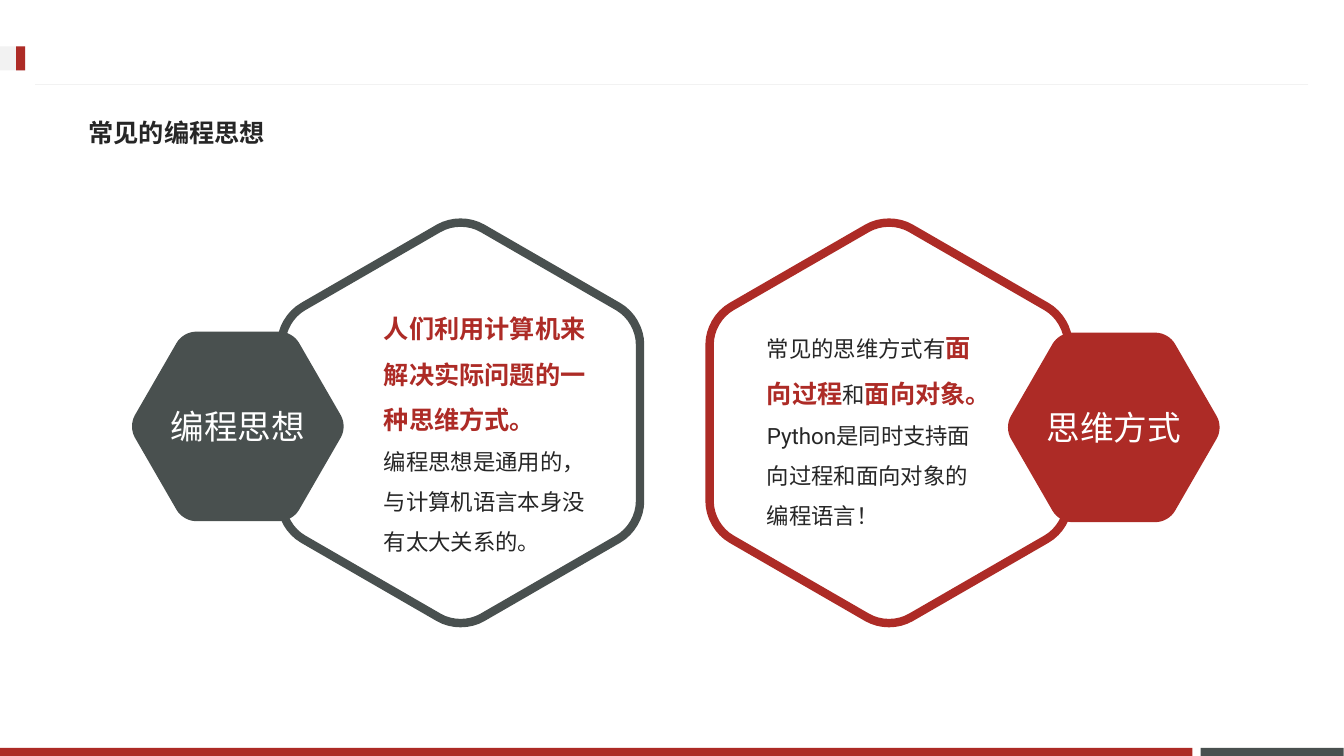
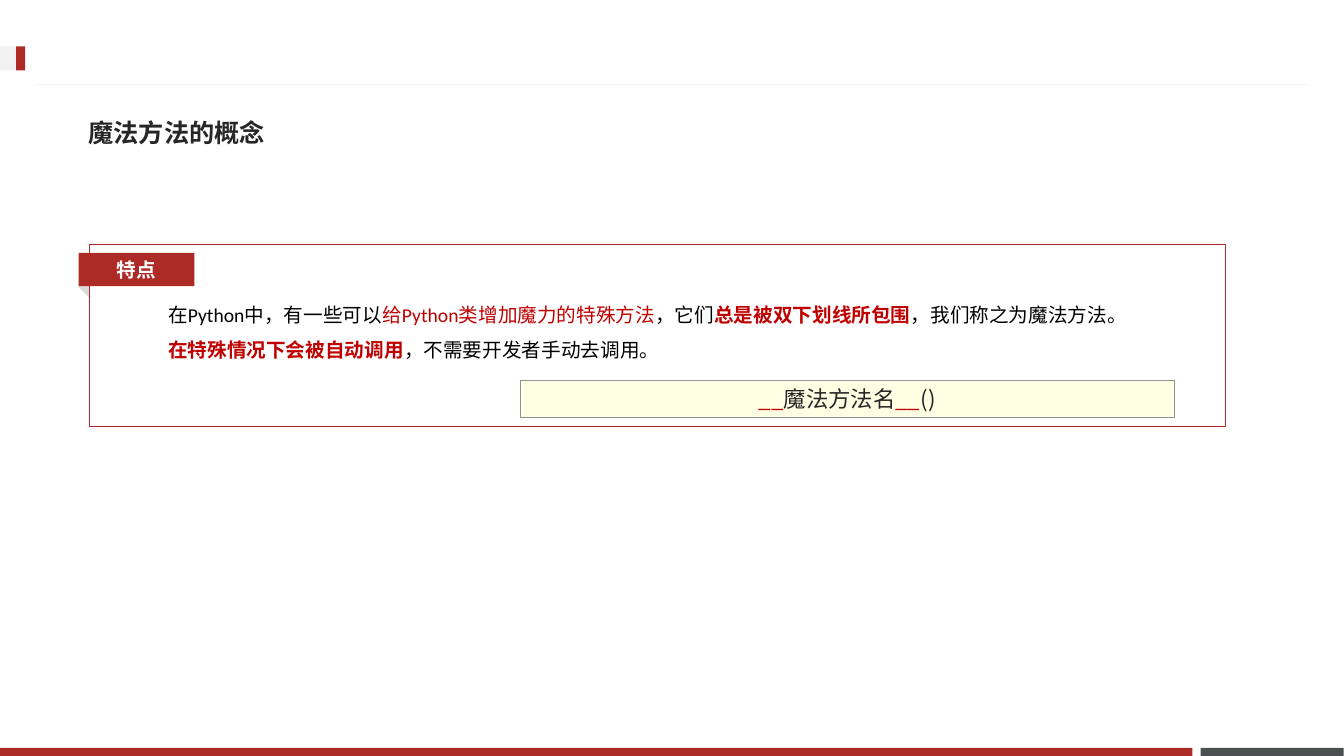
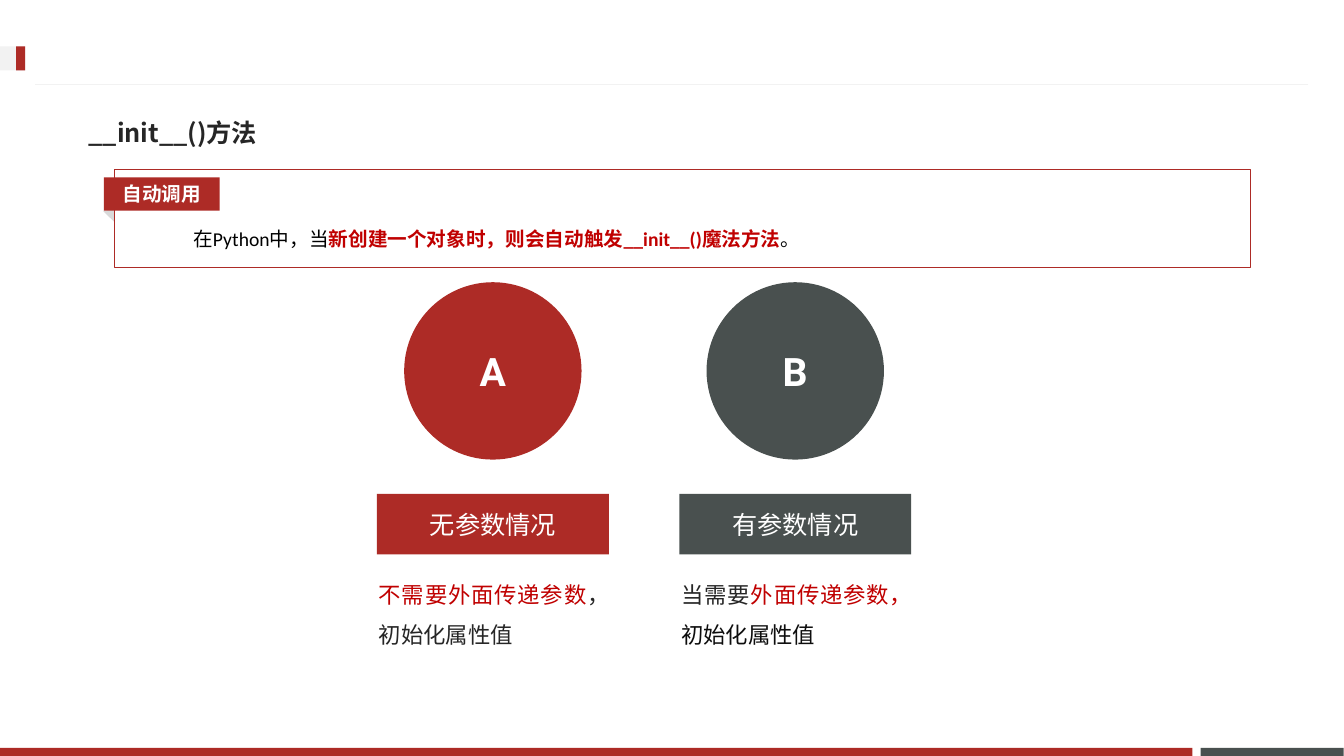
from math import cos, sin, pi, sqrt

from lxml.etree import SubElement
from pptx import Presentation
from pptx.dml.color import RGBColor
from pptx.enum.lang import MSO_LANGUAGE_ID
from pptx.enum.shapes import MSO_CONNECTOR, MSO_SHAPE
from pptx.enum.text import MSO_ANCHOR, PP_ALIGN
from pptx.oxml.ns import qn
from pptx.util import Inches, Pt

RED = RGBColor(0xAD, 0x2B, 0x26)
SLATE = RGBColor(0x49, 0x50, 0x4F)
BRIGHT = RGBColor(0xC0, 0x00, 0x00)
INK = RGBColor(0x26, 0x26, 0x26)
DARK = RGBColor(0x0D, 0x0D, 0x0D)
BLACK = RGBColor(0x00, 0x00, 0x00)
WHITE = RGBColor(0xFF, 0xFF, 0xFF)
PALE = RGBColor(0xF2, 0xF2, 0xF2)
FOLD = RGBColor(0xD9, 0xD9, 0xD9)
CREAM = RGBColor(0xFF, 0xFF, 0xE4)
GREY = RGBColor(0x91, 0x91, 0x91)

CJK, BODY, NOTE, LABEL = "Noto Sans CJK JP", "Roboto", "Calibri", "Lato"

# A run is (text, colour, size, bold); a paragraph is a list of runs.
IDEAS = [
    dict(label="编程思想", colour=SLATE, ring=(2.79, 2.19, 3.56, 4.01),
         badge=(1.3, 3.29, 2.12, 1.88), box=(3.71, 2.9, 2.36, 2.67), paras=[
             [("人们利用计算机来解决实际问题的一种思维方式。", RED, 18, True)],
             [("编程思想是通用的，与计算机语言本身没有太大关系的。", INK, 16, False)]]),
    dict(label="思维方式", colour=RED, ring=(7.04, 2.19, 3.56, 4.01),
         badge=(9.99, 3.3, 2.12, 1.88), box=(7.51, 3.09, 2.36, 2.22), paras=[
             [("常见的思维方式有", INK, 16, False), ("面向过程", RED, 18, True),
              ("和", INK, 16, False), ("面向对象。", RED, 18, True)],
             [("Python是同时支持面向过程和面向对象的编程语言！", INK, 16, False)]]),
]
MAGIC = [
    [("在Python中，有一些可以", BLACK, 14, False),
     ("给Python类增加魔力的特殊方法", BRIGHT, 14, False),
     ("，它们", BLACK, 14, False),
     ("总是被双下划线所包围", BRIGHT, 14, True),
     ("，我们称之为魔法方法。", BLACK, 14, False)],
    [("在特殊情况下会被自动调用", BRIGHT, 14, True),
     ("，不需要开发者手动去调用。", BLACK, 14, False)],
]
SYNTAX = [[("__", BRIGHT, 16, False), ("魔法方法名", INK, 16, False),
           ("__", BRIGHT, 16, False), ("()", INK, 16, False)]]
TRIGGER = [
    [("在Python中，当", BLACK, 14, False),
     ("新创建一个对象时，则会自动触发__init__()魔法方法", BRIGHT, 14, True),
     ("。", BLACK, 14, False)],
]
CASES = [
    ("A", "无参数情况", RED,
     [("不需要外面传递参数", BRIGHT, 16, False), ("，初始化属性值", INK, 16, False)]),
    ("B", "有参数情况", SLATE,
     [("当需要", INK, 16, False), ("外面传递参数，", BRIGHT, 16, False),
      ("初始化属性值", DARK, 16, False)]),
]


def write(shape, paras, font, align=PP_ALIGN.LEFT, spacing=None, anchor=MSO_ANCHOR.MIDDLE):
    frame = shape.text_frame
    frame.word_wrap = True
    frame.vertical_anchor = anchor
    for i, runs in enumerate(paras):
        para = frame.add_paragraph() if i else frame.paragraphs[0]
        para.alignment = align
        para.line_spacing = spacing
        for text, colour, size, bold in runs:
            run = para.add_run()
            run.text = text
            run.font.name = font
            run.font.size = Pt(size)
            run.font.bold = bold
            run.font.color.rgb = colour
            run.font.language_id = MSO_LANGUAGE_ID.SIMPLIFIED_CHINESE
            SubElement(run.font._element, qn("a:ea"), typeface=font)


def paint(shape, fill=None, line=None, width=0.75):
    shape.shadow.inherit = False
    if fill is None:
        shape.fill.background()
    else:
        shape.fill.solid()
        shape.fill.fore_color.rgb = fill
    if line is None:
        shape.line.fill.background()
    else:
        shape.line.color.rgb = line
        shape.line.width = Pt(width)
    return shape


def add_box(slide, box, fill=None, line=None, width=0.75, kind=MSO_SHAPE.RECTANGLE):
    shape = slide.shapes.add_shape(kind, *map(Inches, box))
    return paint(shape, fill, line, width)


def add_text(slide, box, paras, font, **style):
    write(slide.shapes.add_textbox(*map(Inches, box)), paras, font, **style)


def add_hexagon(slide, box, cut, turn):
    """Regular hexagon with corners rounded over a length `cut` of each side."""
    left, top, width, height = box
    radius = min(width, height) / sqrt(3)
    corners = [(left + width / 2 + radius * cos(turn + k * pi / 3),
                top + height / 2 + radius * sin(turn + k * pi / 3)) for k in range(6)]

    def toward(start, end, share):
        return tuple(a + (b - a) * share for a, b in zip(start, end))

    points = []
    for k, corner in enumerate(corners):
        first = toward(corner, corners[k - 1], cut / radius)
        last = toward(corner, corners[(k + 1) % 6], cut / radius)
        points += [first, toward(first, corner, 0.6), toward(last, corner, 0.6), last]
    points = [tuple(map(Inches, point)) for point in points]
    pen = slide.shapes.build_freeform(*points[0])
    pen.add_line_segments(points[1:], close=True)
    shape = pen.convert_to_shape()

    # Each corner's three line segments become one Bezier curve.
    lines = list(shape._element.iter(qn("a:lnTo")))
    for k in range(0, len(lines), 4):
        curve = lines[k]
        for line in lines[k + 1:k + 3]:
            curve.append(line[0])
            line.getparent().remove(line)
        curve.tag = qn("a:cubicBezTo")
    return shape


def add_bands(slide):
    add_box(slide, (11.91, 7.42, 1.42, 0.08), SLATE)
    add_box(slide, (0, 7.42, 11.83, 0.08), RED)
    rule = slide.shapes.add_connector(MSO_CONNECTOR.STRAIGHT, Inches(12.98), Inches(0.84),
                                      Inches(0.35), Inches(0.84))
    rule.line.color.rgb = PALE
    rule.line.width = Pt(0.75)
    SubElement(rule._element.spPr, qn("a:effectLst"))
    add_box(slide, (0, 0.46, 0.25, 0.24), PALE)
    add_box(slide, (0.16, 0.46, 0.09, 0.24), RED)


def share_bands(slide):
    """Draw the bands, then move them to the layout that every slide uses."""
    add_bands(slide)
    for shape in list(slide.shapes):
        slide.slide_layout.shapes._spTree.append(shape._element)


def add_slide(deck, title):
    slide = deck.slides.add_slide(deck.slide_layouts[6])
    if len(deck.slides) == 1:
        share_bands(slide)
    add_text(slide, (0.78, 1.03, 11.7, 0.57), [[(title, INK, 18, True)]], CJK)
    return slide


def add_panel(slide, left, top, height, tag, paras):
    """Outlined note with a folded tag on its left edge."""
    fold = add_box(slide, (left - 0.11, top + 0.39, 0.16, 0.09), FOLD,
                   kind=MSO_SHAPE.ISOSCELES_TRIANGLE)
    fold.rotation = 44.2
    add_text(slide, (left + 0.68, top + 0.41, 9.9, 0.1 + 0.35 * len(paras)), paras, NOTE,
             spacing=1.5, anchor=MSO_ANCHOR.TOP)
    add_box(slide, (left, top, 11.27, height), line=RED)
    ribbon = add_box(slide, (left - 0.11, top + 0.08, 1.15, 0.33), RED)
    write(ribbon, [[(tag, WHITE, 14, True)]], BODY, PP_ALIGN.CENTER)


def build_ideas(deck):
    slide = add_slide(deck, "常见的编程思想")
    for idea in IDEAS:
        paint(add_hexagon(slide, idea["ring"], 0.25, pi / 6), WHITE, idea["colour"], 6)
    for idea in IDEAS:
        badge = paint(add_hexagon(slide, idea["badge"], 0.13, 0), idea["colour"])
        write(badge, [[(idea["label"], WHITE, 24, False)]], LABEL, PP_ALIGN.CENTER)
    for idea in IDEAS:
        add_text(slide, idea["box"], idea["paras"], BODY, spacing=1.5)


def build_magic(deck):
    slide = add_slide(deck, "魔法方法的概念")
    add_panel(slide, 0.89, 2.43, 1.8, "特点", MAGIC)
    syntax = add_box(slide, (5.16, 3.77, 6.49, 0.37), CREAM, GREY, 0.25)
    write(syntax, SYNTAX, CJK, PP_ALIGN.CENTER)


def build_init(deck):
    slide = add_slide(deck, "__init__()方法")
    columns = [(4.89 + 3 * i, case) for i, case in enumerate(CASES)]
    for mid, (letter, _, colour, _) in columns:
        disc = add_box(slide, (mid - 0.88, 2.8, 1.76, 1.76), colour, kind=MSO_SHAPE.OVAL)
        write(disc, [[(letter, WHITE, 28, True)]], BODY, PP_ALIGN.CENTER)
    for mid, (_, name, colour, _) in columns:
        bar = add_box(slide, (mid - 1.15, 4.9, 2.3, 0.6), colour)
        bar.text_frame.margin_left = bar.text_frame.margin_right = 0
        write(bar, [[(name, WHITE, 18, False)]], BODY, PP_ALIGN.CENTER)
    for mid, (_, _, _, runs) in columns:
        add_text(slide, (mid - 1.23, 5.58, 2.49, 0.87), [runs], BODY,
                 align=PP_ALIGN.JUSTIFY, spacing=1.5, anchor=MSO_ANCHOR.TOP)
    add_panel(slide, 1.14, 1.68, 0.97, "自动调用", TRIGGER)


def main():
    deck = Presentation()
    deck.slide_width, deck.slide_height = Inches(40 / 3), Inches(7.5)
    for build in (build_ideas, build_magic, build_init):
        build(deck)
    deck.save("out.pptx")


if __name__ == "__main__":
    main()
